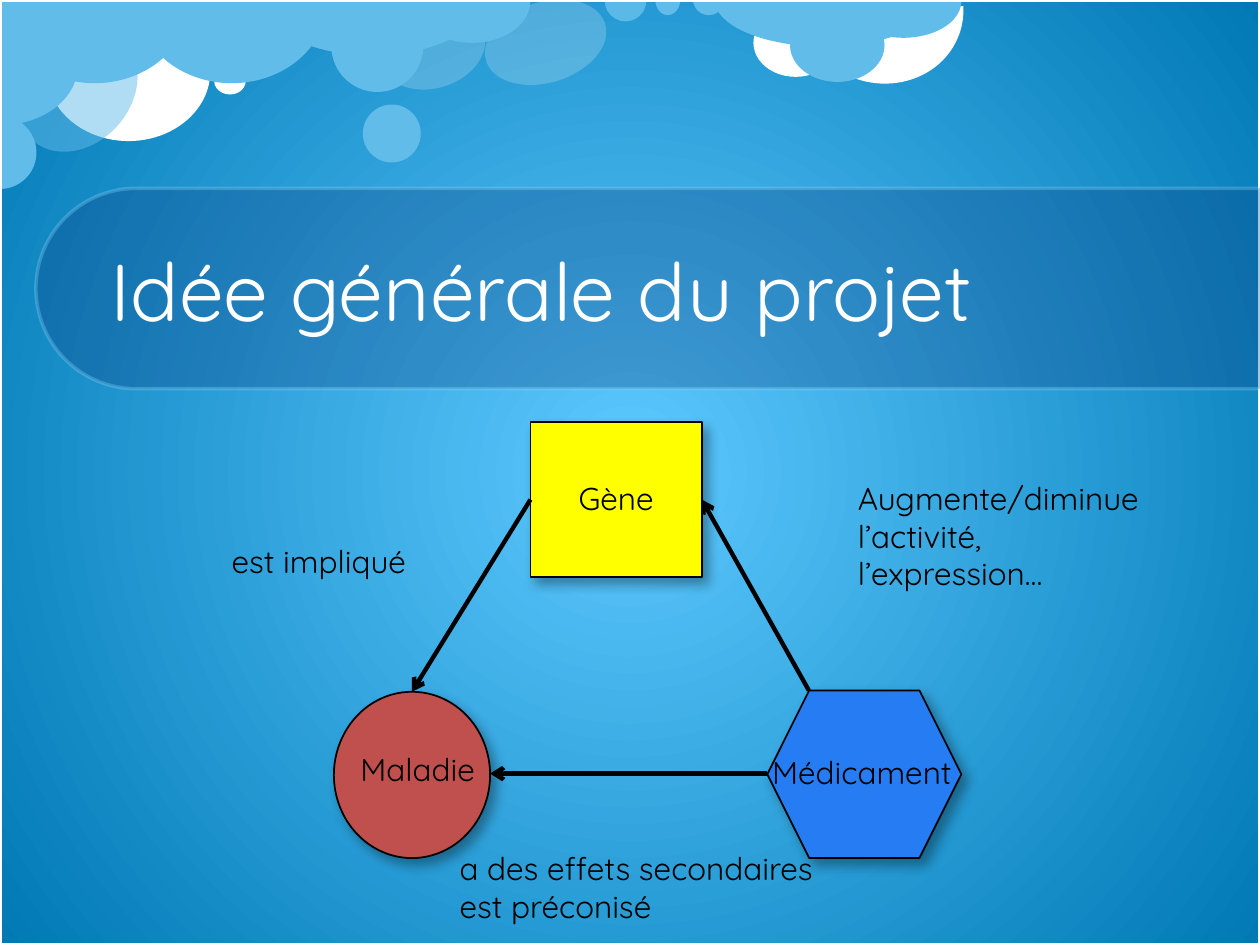
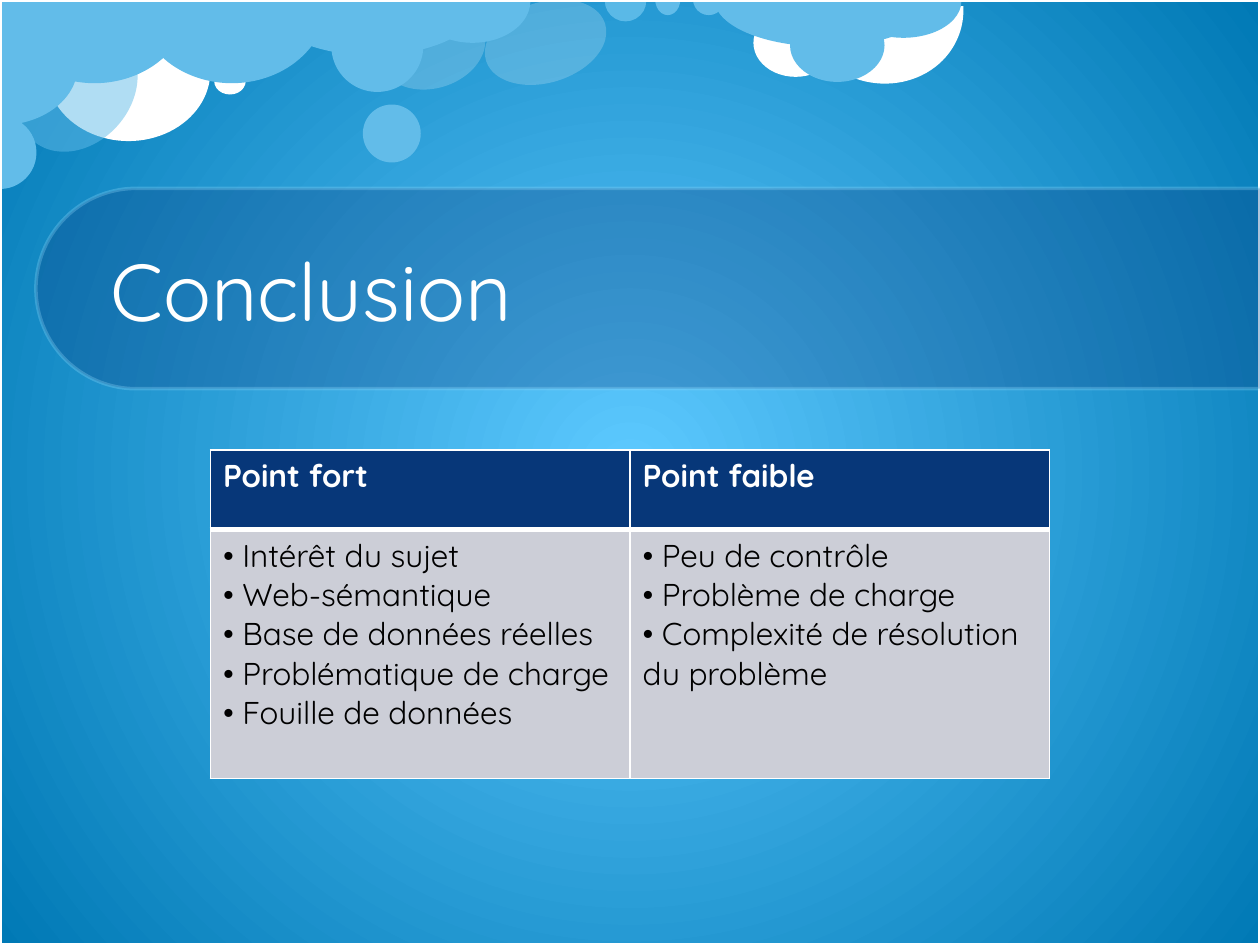
"""Builds two slides on a cloudy blue theme: a concept triangle and a conclusion table."""
from lxml import etree
from pptx import Presentation
from pptx.dml.color import RGBColor
from pptx.enum import shapes, text
from pptx.oxml import ns
from pptx.util import Emu, Pt

PX = 9144
FONT = "Quicksand"
WHITE = RGBColor(0xFF, 0xFF, 0xFF)
BLACK = RGBColor(0x00, 0x00, 0x00)
GLOW = RGBColor(0x5D, 0xC9, 0xFF)
DEEP = RGBColor(0x00, 0x79, 0xB5)
CLOUD = RGBColor(0x62, 0xBC, 0xE9)
PALE = RGBColor(0x8F, 0xD9, 0xFB)
NAVY = RGBColor(0x07, 0x37, 0x79)
GREY = RGBColor(0xCC, 0xCE, 0xD7)
YELLOW = RGBColor(0xFF, 0xFF, 0x00)
RED = RGBColor(0xC0, 0x50, 0x4D)
BLUE = RGBColor(0x26, 0x7C, 0xF2)

KIND = shapes.MSO_SHAPE
OVAL = KIND.OVAL
PIE = KIND.PIE
HALF = (0, 108)
LEFT = text.PP_ALIGN.LEFT
MID = text.PP_ALIGN.CENTER


def put(slide, kind, box, fill=None, alpha=100, turn=0, adj=(), line=None, width=1):
    shape = slide.shapes.add_shape(kind, *[Emu(n * PX) for n in box])
    shape.shadow.inherit = False
    shape.rotation = turn
    for i, value in enumerate(adj):
        shape.adjustments[i] = value
    for part, hue in ((shape.fill, fill), (shape.line.fill, line)):
        if hue is None:
            part.background()
        else:
            part.solid()
            part.fore_color.rgb = hue
    if line is not None:
        shape.line.width = Pt(width)
    if alpha < 100:
        for hue in shape._element.spPr.iter(ns.qn("a:srgbClr")):
            etree.SubElement(hue, ns.qn("a:alpha"), val=str(alpha * 1000))
    return shape


def write(frame, lines, align=LEFT, **look):
    frame.word_wrap = True
    frame.text = "\n".join(lines)
    style = {"name": FONT, "size": Pt(18), "bold": False, **look}
    hue = style.pop("hue", BLACK)
    for para in frame.paragraphs:
        para.alignment = align
        for key, value in style.items():
            setattr(para.runs[0].font, key, value)
        para.runs[0].font.color.rgb = hue


deck = Presentation()
deck.slide_width, deck.slide_height = Emu(1000 * PX), Emu(750 * PX)

back = deck.slide_master.background
back.fill.gradient()
for stop, hue, place in zip(back.fill.gradient_stops, (GLOW, DEEP), (0, 1)):
    stop.color.rgb, stop.position = hue, place
grad = back._cSld.find(".//" + ns.qn("a:gradFill"))
grad.remove(grad.find(ns.qn("a:lin")))
ring = etree.SubElement(grad, ns.qn("a:path"), path="circle")
etree.SubElement(ring, ns.qn("a:fillToRect"), l="50000", t="50000", r="50000", b="50000")

CLOUDS = [
    (OVAL, (311, -5, 64, 86), WHITE, 20, 72.8),
    (OVAL, (37, 1, 130, 111), WHITE),
    (KIND.ARC, (639, -60, 121, 131), WHITE, 100, 106.5, (151.8, 44.48)),
    (OVAL, (598, 7, 67, 54), WHITE),
    (PIE, (-1, -66, 152, 132), CLOUD, 100, 0, HALF),
    (PIE, (208, -44, 175, 88), CLOUD, 100, 0, HALF),
    (OVAL, (288, 83, 46, 46), CLOUD),
    (OVAL, (19, 18, 85, 107), CLOUD, 50, 41.8),
    (PIE, (-29, 92, 58, 58), CLOUD, 100, 270, HALF),
    (OVAL, (170, 54, 25, 21), WHITE),
    (PIE, (108, -66, 152, 132), CLOUD, 100, 0, HALF),
    (PIE, (567, -38, 175, 75), CLOUD, 100, 0, HALF),
    (OVAL, (627, 7, 75, 58), CLOUD),
    (PIE, (671, -28, 92, 58), CLOUD, 100, 0, HALF),
    (OVAL, (401, -16, 64, 99), WHITE, 20, 72.8),
    (PIE, (480, -16, 33, 33), PALE, 50, 0, HALF),
    (PIE, (520, -13, 20, 25), CLOUD, 100, 0, HALF),
    (PIE, (550, -13, 25, 25), CLOUD, 100, 0, HALF),
    (OVAL, (263, 0, 73, 73), CLOUD),
    (PIE, (329, -33, 92, 67), CLOUD, 100, 0, HALF),
    (PIE, (-47, -9, 93, 124), CLOUD, 100, 270, HALF),
]

pages = []
for title in ("Idée générale du projet", "Conclusion"):
    page = deck.slides.add_slide(deck.slide_layouts[6])
    for cloud in CLOUDS:
        put(page, *cloud)
    put(page, KIND.RECTANGLE, (0, 0, 1000, 750), line=WHITE, width=2)
    put(page, KIND.ROUND_2_SAME_RECTANGLE, (435, -257, 159, 972), NAVY, 30, 270,
        (0.5, 0), PALE, 2)
    frame = page.shapes.add_textbox(*[Emu(n * PX) for n in (78, 150, 844, 158)]).text_frame
    frame.vertical_anchor = text.MSO_ANCHOR.MIDDLE
    write(frame, [title], size=Pt(46), hue=WHITE)
    frame.paragraphs[0].line_spacing = Pt(56)
    pages.append(page)
idea, close = pages

nodes = []
for kind, box, fill in (
    (KIND.RECTANGLE, (421, 335, 136, 123), YELLOW),
    (OVAL, (265, 549, 124, 132), RED),
    (KIND.HEXAGON, (609, 548, 154, 133), BLUE),
):
    node = put(idea, kind, box, fill, line=BLACK)
    glow = node._element.spPr.find(ns.qn("a:effectLst"))
    cast = etree.SubElement(glow, ns.qn("a:outerShdw"), blurRad=str(Pt(7)), dist=str(Pt(5)),
                            dir=str(50 * 60000), algn="tl", rotWithShape="0")
    hue = etree.SubElement(cast, ns.qn("a:srgbClr"), val=str(BLACK))
    etree.SubElement(hue, ns.qn("a:alpha"), val="35000")
    nodes.append(node)
gene = nodes[0]

arrows = []
for ends in ((609, 614, 389, 614), (421, 397, 327, 549), (642, 548, 557, 397)):
    arrow = idea.shapes.add_connector(shapes.MSO_CONNECTOR.STRAIGHT, *[Emu(n * PX) for n in ends])
    arrow.line.color.rgb, arrow.line.width = BLACK, Pt(2.5)
    etree.SubElement(arrow.line._get_or_add_ln(), ns.qn("a:tailEnd"), type="arrow")
    etree.SubElement(arrow._element.spPr, ns.qn("a:effectLst"))
    arrows.append(arrow)
arrows[1].begin_connect(gene, 1)
arrows[2].end_connect(gene, 3)

for box, lines, align in (
    ((421, 375, 136, 50), ["Gène"], MID),
    ((248, 590, 167, 40), ["Maladie"], MID),
    ((603, 593, 210, 40), ["Médicament"], LEFT),
    ((174, 425, 181, 40), ["est impliqué"], LEFT),
    ((355, 669, 345, 71), ["a des effets secondaires", "est préconisé"], LEFT),
    ((671, 375, 255, 101), ["Augmente/diminue l’activité, l’expression…"], LEFT),
):
    label = idea.shapes.add_textbox(*[Emu(n * PX) for n in box])
    write(label.text_frame, lines, align)

POINTS = {
    "Point fort": ["Intérêt du sujet", "Web-sémantique", "Base de données réelles",
                   "Problématique de charge", "Fouille de données"],
    "Point faible": ["Peu de contrôle", "Problème de charge",
                     "Complexité de résolution du problème"],
}
grid = close.shapes.add_table(2, 2, *[Emu(n * PX) for n in (167, 357, 666, 261)]).table
for row, high in zip(grid.rows, (63, 198)):
    row.height = Emu(high * PX)
for col, (head, items) in enumerate(POINTS.items()):
    grid.columns[col].width = Emu(333 * PX)
    top, body = grid.cell(0, col), grid.cell(1, col)
    write(top.text_frame, [head], bold=True, hue=WHITE)
    write(body.text_frame, ["• " + item for item in items])
    for cell, fill, edges in ((top, NAVY, {"L": 1, "R": 1, "T": 1, "B": 3}),
                              (body, GREY, {"L": 1, "R": 1, "T": 3, "B": 1})):
        props = cell._tc.get_or_add_tcPr()
        for side, width in edges.items():
            edge = etree.SubElement(props, ns.qn("a:ln" + side), w=str(Pt(width)))
            paint = etree.SubElement(edge, ns.qn("a:solidFill"))
            etree.SubElement(paint, ns.qn("a:srgbClr"), val=str(WHITE))
        cell.fill.solid()
        cell.fill.fore_color.rgb = fill

deck.save("out.pptx")
